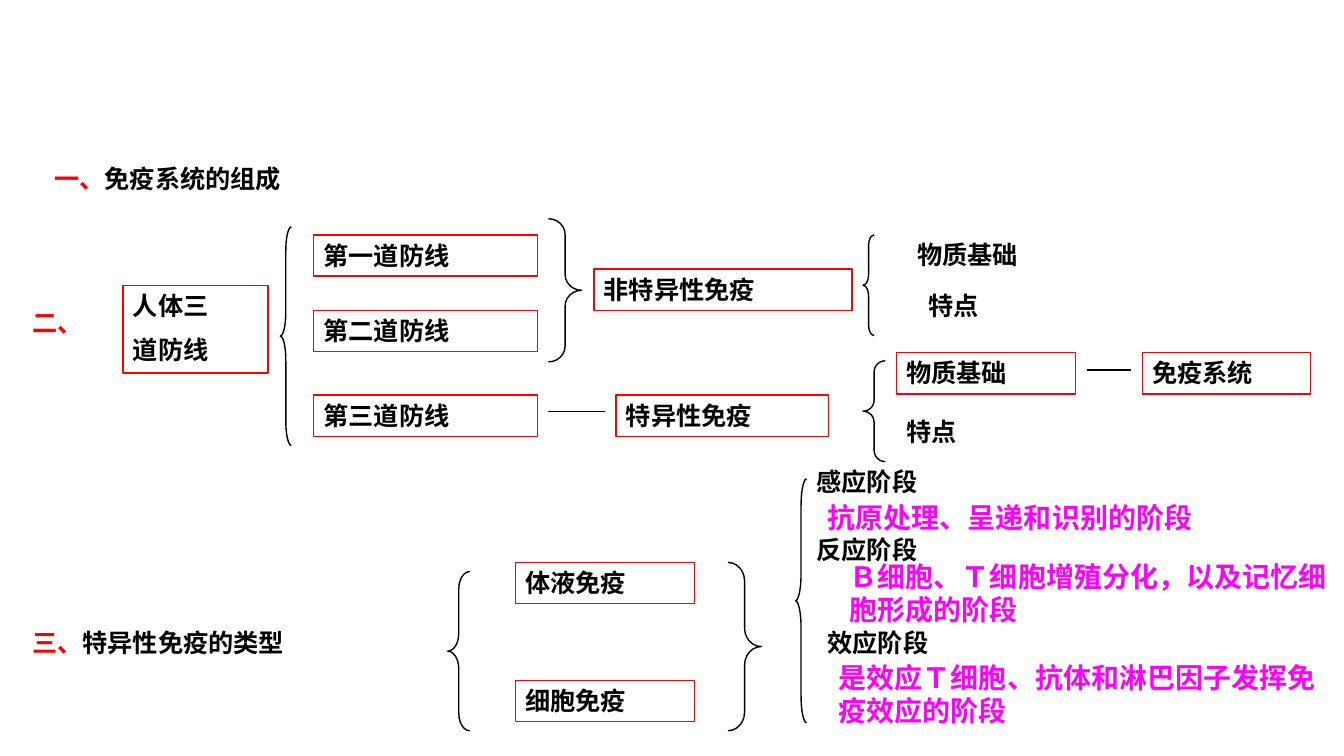
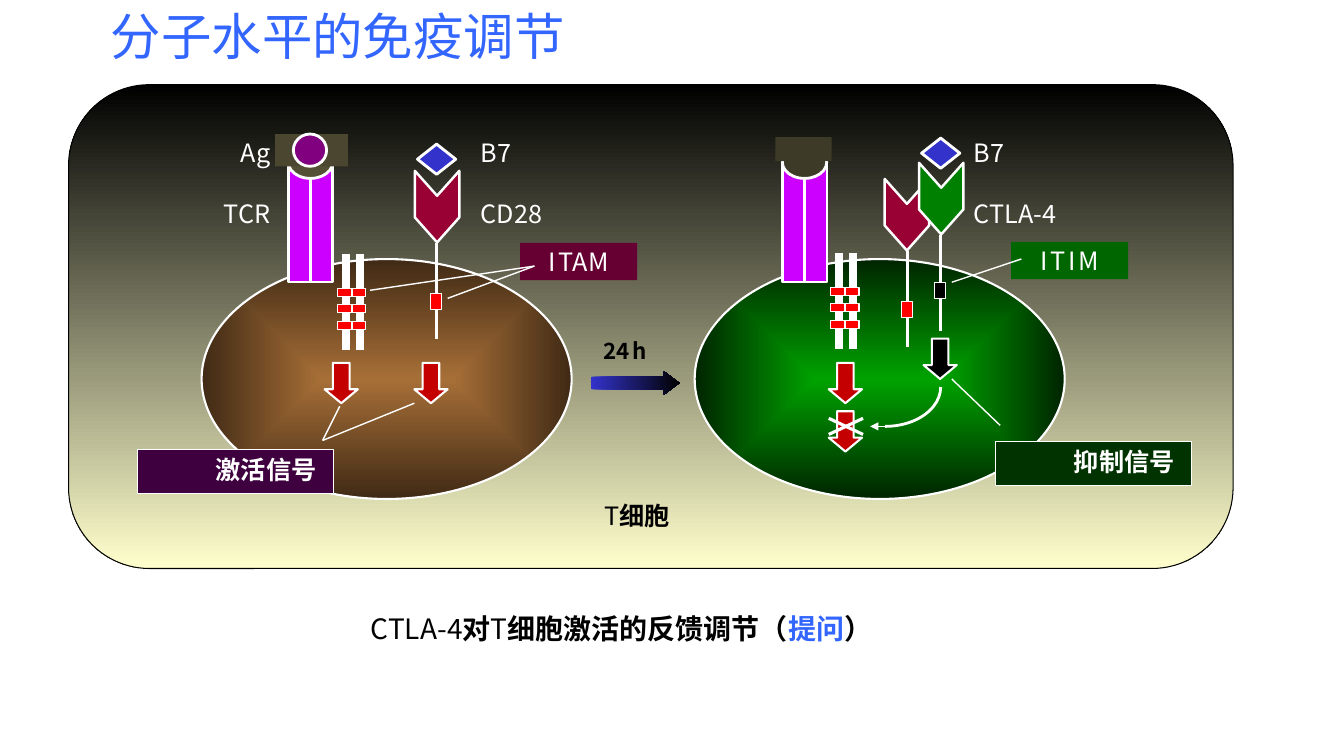
import pptx
import pptx.util
import pptx.dml.color
import pptx.enum.shapes
import pptx.enum.text
import pptx.oxml
import pptx.oxml.ns

Inches = pptx.util.Inches
Pt = pptx.util.Pt
KIND = pptx.enum.shapes.MSO_SHAPE
ALIGN = pptx.enum.text.PP_ALIGN
ANCHOR = pptx.enum.text.MSO_ANCHOR
LEFT, MID, RIGHT = ALIGN.LEFT, ALIGN.CENTER, ALIGN.RIGHT
qn = pptx.oxml.ns.qn
NS = 'xmlns:a="http://schemas.openxmlformats.org/drawingml/2006/main"'

COL = {
    "black": "000000", "white": "FFFFFF", "red": "FF0000", "pink": "FF00FF",
    "blue": "3366FF", "cream": "FFFFCD", "tan": "A76F37", "brown": "402A15",
    "green": "00A200", "pine": "002400", "tube": "CC00FF", "wine": "990033",
    "leaf": "008000", "olive": "4A4630", "cup": "545036", "dusk": "3D3A27",
    "gem": "3333CC", "arrow": "C40000", "plum": "3E003E", "moss": "003300",
    "itim": "006600", "itam": "660033", "ag": "800080",
}
SANS = "Noto Sans CJK SC"

# Outline slide: left, top, width, text
BOXES = [
    (1.22, 2.83, 1.44, "人体三\n道防线"),
    (3.11, 2.33, 2.22, "第一道防线"),
    (3.11, 3.08, 2.22, "第二道防线"),
    (3.11, 3.92, 2.22, "第三道防线"),
    (5.89, 2.67, 2.56, "非特异性免疫"),
    (6.11, 3.92, 2.11, "特异性免疫"),
    (8.89, 3.5, 1.78, "物质基础"),
    (11.33, 3.5, 1.67, "免疫系统"),
    (5.11, 5.58, 1.78, "体液免疫"),
    (5.11, 6.75, 1.78, "细胞免疫"),
]
HEADS = [
    (0.44, 1.57, 3.78, "一、", "免疫系统的组成"),
    (0.22, 3, 0.89, "二、", ""),
    (0.22, 6.17, 4.22, "三、", "特异性免疫的类型"),
]
LABELS = [
    (9, 2.33, 2.11, "物质基础"),
    (9.11, 2.83, 1.67, "特点"),
    (8.89, 4.08, 1.33, "特点"),
    (8, 4.58, 2.22, "感应阶段"),
    (8, 5.25, 2.78, "反应阶段"),
    (8.11, 6.17, 2.67, "效应阶段"),
]
NOTES = [
    (8.11, 4.92, 5.22, "抗原处理、呈递和识别的阶段"),
    (8.33, 5.5, 5, "Ｂ细胞、Ｔ细胞增殖分化，以及记忆细胞形成的阶段"),
    (8.22, 6.5, 5.11, "是效应Ｔ细胞、抗体和淋巴因子发挥免疫效应的阶段"),
]
LBRACE, RBRACE = KIND.LEFT_BRACE, KIND.RIGHT_BRACE
BRACES = [
    (LBRACE, 2.78, 2.25, 0.11, 2.17), (RBRACE, 5.44, 2.17, 0.33, 1.42),
    (LBRACE, 8.56, 2.33, 0.11, 1), (LBRACE, 8.56, 3.58, 0.22, 1),
    (LBRACE, 4.44, 5.67, 0.22, 1.58), (RBRACE, 7.22, 5.58, 0.33, 1.67),
    (LBRACE, 7.89, 4.75, 0.11, 2.42),
]
LINKS = [(5.44, 4.08, 6, 4.08), (10.78, 3.67, 11.22, 3.67)]

# Diagram slide
TITLE = "分子水平的免疫调节"
CELLS = [  # cell left, top of rods, colours
    (2, 2.52, ("tan", "brown")),
    (6.89, 2.51, ("green", "pine")),
]
TUBES = [2.86, 7.76]
FORKS = [(3.98, 1.83, "wine"), (8.64, 1.91, "wine"), (8.98, 1.75, "leaf")]
STEMS = [  # x, top, marker top, marker colour
    (4.33, 2.41, 2.91, "red"), (9, 2.49, 2.99, "red"),
    (9.33, 2.33, 2.8, "black"),
]
GEMS = [(4.14, 1.43), (9.14, 1.37)]
ARROWS = [
    (3.22, 3.6, "arrow"), (4.11, 3.6, "arrow"), (8.22, 3.6, "arrow"),
    (8.22, 4.08, "arrow"), (9.16, 3.36, "black"),
]
CROSS = [(8.22, 4.15, 8.56, 4.31), (8.56, 4.15, 8.22, 4.31)]
LEADS = [
    (9.44, 3.76, 9.92, 4.22), (3.2, 4.37, 4.11, 4), (3.37, 4.03, 3.2, 4.37),
    (9.44, 2.8, 10.13, 2.57), (4.44, 2.96, 5.3, 2.64),
    (3.67, 2.88, 5.3, 2.64),
]
PAIRS = [
    (4.67, LEFT, "B7", "CD28"), (1.58, RIGHT, "Ag", "TCR"),
    (9.56, LEFT, "B7", "CTLA-4"),
]
TAGS = [  # left, top, fill, letters set apart by thin gaps
    (10.03, 2.4, "itim", ["I", "T", "I", "M"]),
    (5.16, 2.41, "itam", ["I", "TAM"]),
]
SIGNALS = [(1.36, 4.46, "plum", "激活信号"), (9.87, 4.38, "moss", "抑制信号")]
CAPTION = [
    ("CTLA-4", False, "black"), ("对", True, "black"), ("T", False, "black"),
    ("细胞激活的反馈调节（", True, "black"), ("提问", True, "blue"),
    ("）", True, "black"),
]


def rgb(name):
    return pptx.dml.color.RGBColor.from_string(COL[name])


def place(box):
    return [Inches(v) for v in box]


def shape(slide, kind, box, fill=None, line=None, pt=1, adj=(), turn=0):
    """Fill is a colour, a pair (linear) or None."""
    item = slide.shapes.add_shape(kind, *place(box))
    item.shadow.inherit = False
    item.rotation = turn
    for i, val in enumerate(adj):
        item.adjustments[i] = val
    if isinstance(fill, tuple):
        item.fill.gradient()
        for stop, name in zip(item.fill.gradient_stops, fill):
            stop.color.rgb = rgb(name)
    elif fill:
        item.fill.solid()
        item.fill.fore_color.rgb = rgb(fill)
    else:
        item.fill.background()
    if line:
        item.line.color.rgb = rgb(line)
        item.line.width = Pt(pt)
    else:
        item.line.fill.background()
    return item


def radial(item):
    grad = item._element.spPr.find(qn("a:gradFill"))
    grad.remove(grad.find(qn("a:lin")))
    grad.append(pptx.oxml.parse_xml(
        f'<a:path {NS} path="shape"><a:fillToRect l="50000" t="50000" '
        'r="50000" b="50000"/></a:path>'))


def line(slide, ends, color, pt, head=False):
    kind = pptx.enum.shapes.MSO_CONNECTOR.STRAIGHT
    item = slide.shapes.add_connector(kind, *place(ends))
    item.line.color.rgb = rgb(color)
    item.line.width = Pt(pt)
    props = item._element.spPr
    if head:
        props.find(qn("a:ln")).append(
            pptx.oxml.parse_xml(f'<a:tailEnd {NS} type="triangle"/>'))
    props.append(pptx.oxml.parse_xml(f"<a:effectLst {NS}/>"))


def write(item, lines, size=18, color="black", bold=False, font=SANS,
          align=LEFT, gap=0, anchor=ANCHOR.MIDDLE):
    """Each line is a string or a list of (text, bold, colour, size)."""
    frame = item.text_frame
    frame.word_wrap = True
    frame.vertical_anchor = anchor
    for i, parts in enumerate(lines):
        para = frame.add_paragraph() if i else frame.paragraphs[0]
        para.alignment = align
        if i:
            para.space_before = Pt(gap)
        para.font.name = font
        para.font.size = Pt(size)
        para.font.bold = bold
        para.font.color.rgb = rgb(color)
        if isinstance(parts, str):
            para.add_run().text = parts
            continue
        for text, heavy, tint, pts in parts:
            run = para.add_run()
            run.text = text
            run.font.bold = heavy
            run.font.color.rgb = rgb(tint)
            run.font.size = Pt(pts)


def label(slide, box, lines, **style):
    item = slide.shapes.add_textbox(*place(box))
    write(item, lines, **style)
    return item


def outline(slide):
    style = dict(font="Arial", bold=True, anchor=ANCHOR.TOP)
    for x, y, w, text in BOXES:
        rows = text.split("\n")
        high = 0.41 + 0.46 * (len(rows) - 1)
        box = shape(slide, KIND.RECTANGLE, (x, y, w, high), line="red")
        write(box, rows, gap=10, **style)
    for kind, x, y, w, h in BRACES:
        shape(slide, kind, (x, y, w, h), line="black",
              adj=(0.11 * h / w, 0.5))
    for ends in LINKS:
        line(slide, ends, "black", 1)
    for x, y, w, num, text in HEADS:
        parts = [(num, True, "red", 18)]
        if text:
            parts.append((text, True, "black", 18))
        label(slide, (x, y, w, 0.4), [parts], **style)
    for x, y, w, text in LABELS:
        label(slide, (x, y, w, 0.4), [text], **style)
    for x, y, w, text in NOTES:
        label(slide, (x, y, w, 0.43), [text], size=20, color="pink", **style)


def diagram(slide):
    title = slide.shapes.title
    title.left, title.top, title.width, title.height = place((1, 0, 9.33, 1.05))
    write(title, [TITLE], size=36, color="blue", anchor=ANCHOR.TOP)
    title.text_frame.auto_size = pptx.enum.text.MSO_AUTO_SIZE.NONE

    # Panel and cells
    panel = shape(slide, KIND.ROUNDED_RECTANGLE, (0.68, 0.84, 11.55, 4.8),
                  ("black", "cream"), "black", 0.75, (0.167,))
    panel.fill.gradient_angle = 270
    for x, _, tints in CELLS:
        radial(shape(slide, KIND.OVAL, (x, 2.57, 3.67, 2.38), tints,
                     "white", 1.5))

    # Receptors
    for x in TUBES:
        for i in range(2):
            shape(slide, KIND.RECTANGLE, (x + 0.22 * i, 1.61, 0.22, 1.19),
                  "tube", "white", 1.75)
    for x, y, tint in FORKS:
        shape(slide, KIND.CHEVRON, (x, y, 0.71, 0.44), tint, "white", 1.75,
              (0.562,), 90)
    for x, tint in zip(TUBES, ("cup", "dusk")):
        shape(slide, KIND.OVAL, (x, 1.45, 0.44, 0.32), tint, "white", 2)
    shape(slide, KIND.RECTANGLE, (2.73, 1.33, 0.72, 0.32), "olive")
    shape(slide, KIND.RECTANGLE, (7.69, 1.36, 0.56, 0.24), "dusk")
    shape(slide, KIND.OVAL, (2.91, 1.33, 0.33, 0.32), "ag", "white", 2)
    for x, y, top, tint in STEMS:
        line(slide, (x, y, x, y + 0.95), "white", 2.5)
        shape(slide, KIND.RECTANGLE, (x - 0.06, top, 0.11, 0.16), tint,
              "white", 0.75)
    for x, y, _ in CELLS:
        for rod in (x + 1.43, x + 1.57):
            line(slide, (rod, y, rod, y + 0.95), "white", 6)
        for i in range(3):
            top = y + 0.34 + 0.165 * i
            shape(slide, KIND.RECTANGLE, (x + 1.35, top, 0.28, 0.08), "red",
                  "white", 0.75)
            line(slide, (x + 1.49, top, x + 1.49, top + 0.08), "white", 1.5)
    for x, y in GEMS:
        shape(slide, KIND.DIAMOND, (x, y, 0.38, 0.3), "gem", "white", 2)

    # Signals inside the cells
    for x, y, tint in ARROWS:
        shape(slide, KIND.DOWN_ARROW, (x, y, 0.33, 0.4), tint, "white", 1.5,
              (0.5, 0.417))
    for ends in CROSS:
        line(slide, ends, "white", 2.25)
    shape(slide, KIND.ARC, (8.23, 3.45, 1.1, 0.78), None, "white", 2, (0, 54))
    line(slide, (8.86, 4.23, 8.63, 4.23), "white", 0.75, head=True)
    step = shape(slide, KIND.RIGHT_ARROW, (5.86, 3.68, 0.88, 0.24),
                 ("gem", "black"), adj=(0.5, 0.661))
    step.fill.gradient_angle = 0

    # Labels
    for x, side, *names in PAIRS:
        label(slide, (x, 1.22, 1.2, 1.19), names, color="white", align=side,
              gap=21.5)
    for x, y, tint, text in SIGNALS:
        box = shape(slide, KIND.RECTANGLE, (x, y, 1.95, 0.44), tint,
                    "white", 0.75)
        write(box, [text], color="white", bold=True, align=RIGHT)
        box.text_frame.margin_right = Inches(0.17)
        box.text_frame.paragraphs[0].line_spacing = 0.9
    for x, y, tint, names in TAGS:
        box = shape(slide, KIND.RECTANGLE, (x, y, 1.16, 0.37), tint)
        parts = []
        for name in names:
            if parts:
                parts.append((" ", False, "white", 8))
            parts.append((name, False, "white", 18))
        write(box, [parts], align=MID)
    for ends in LEADS:
        line(slide, ends, "white", 1)
    hours = [("24", True, "black", 16), (" ", True, "black", 8),
             ("h", True, "black", 16)]
    label(slide, (5.7, 3.28, 1, 0.4), [hours], align=MID)
    cell = [("T", False, "black", 18), ("细胞", True, "black", 18)]
    label(slide, (5.48, 4.89, 1.68, 0.45), [cell], align=MID)
    label(slide, (0.97, 5.8, 10.39, 0.87), [[(*part, 20) for part in CAPTION]],
          size=20, align=MID)


def main():
    deck = pptx.Presentation()
    deck.slide_width, deck.slide_height = Inches(13.33), Inches(7.5)
    outline(deck.slides.add_slide(deck.slide_layouts[6]))
    diagram(deck.slides.add_slide(deck.slide_layouts[5]))
    deck.save("out.pptx")


if __name__ == "__main__":
    main()
